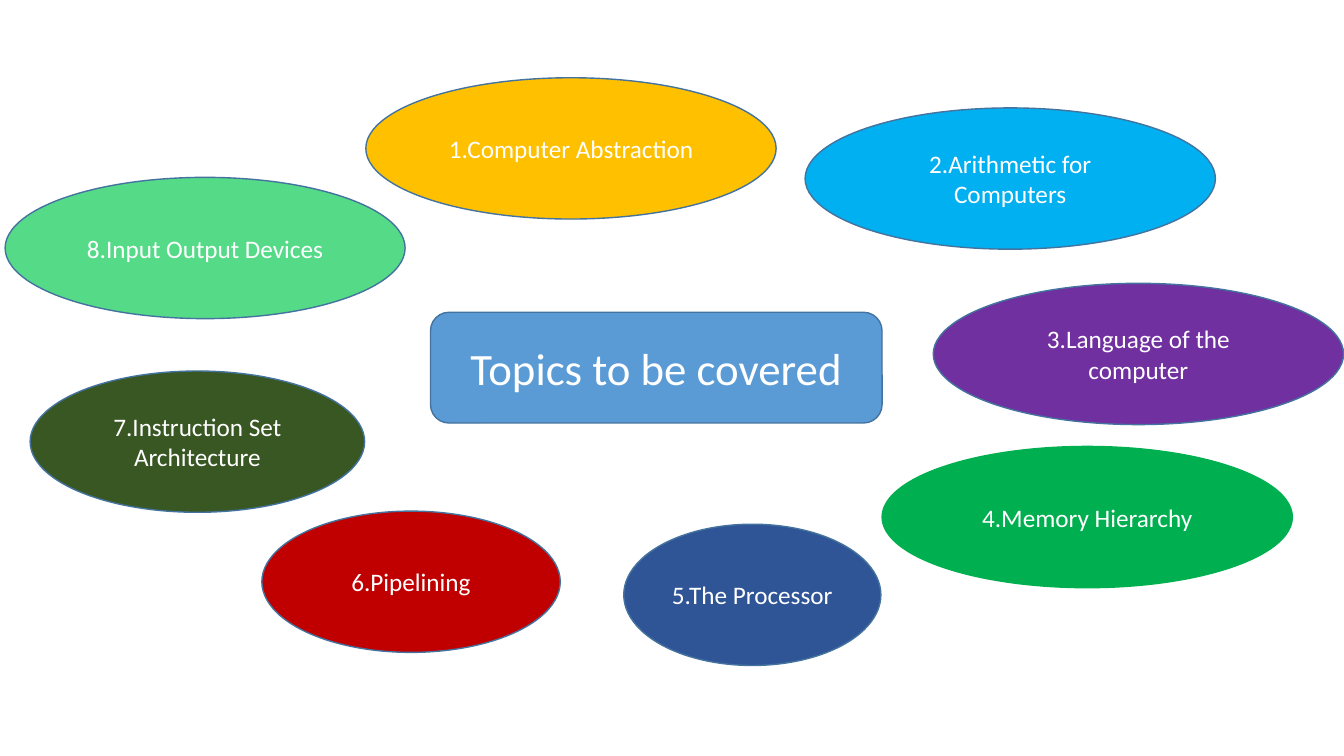
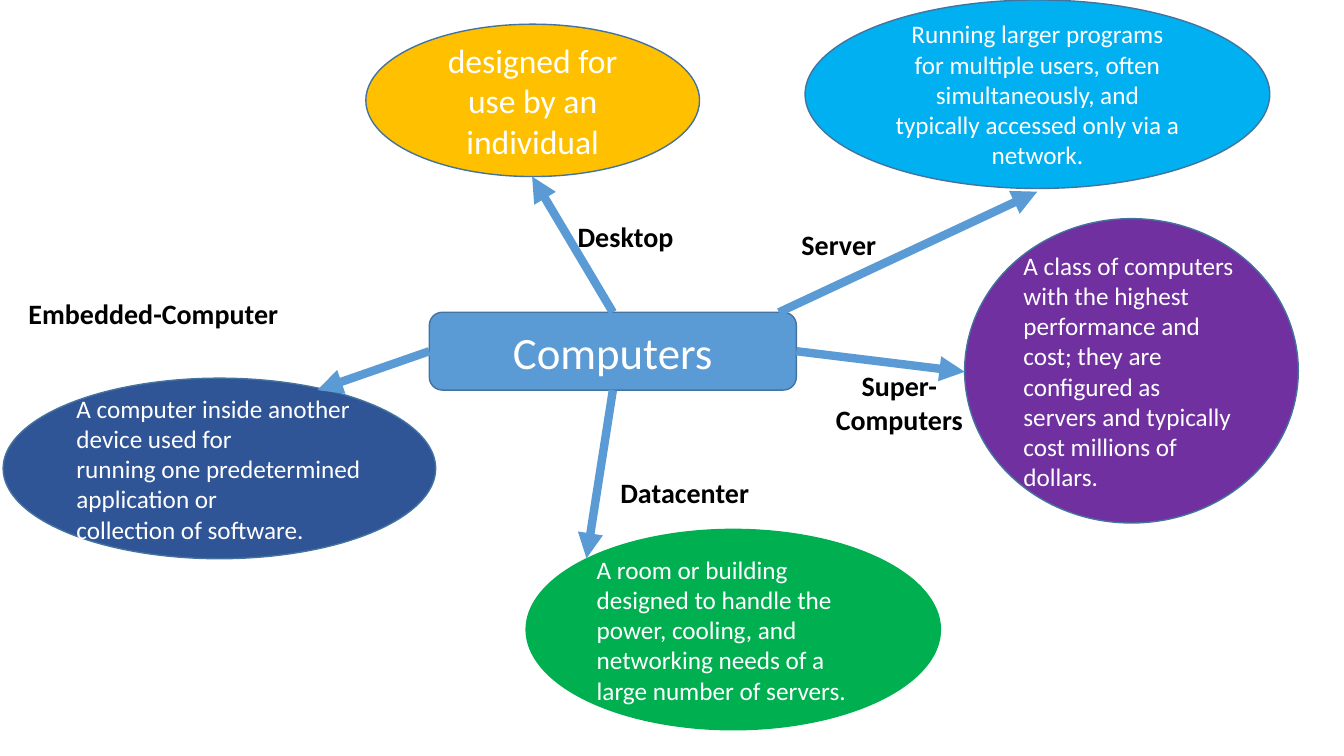
from lxml.etree import SubElement
from pptx import Presentation
from pptx.dml.color import RGBColor
from pptx.enum.shapes import MSO_CONNECTOR, MSO_SHAPE
from pptx.enum.text import MSO_ANCHOR, MSO_AUTO_SIZE, PP_ALIGN
from pptx.oxml.ns import qn
from pptx.util import Cm, Pt

FONT = "Calibri"
COLORS = {
    "hub": "5B9BD5", "outline": "43739E", "white": "FFFFFF", "black": "000000",
    "amber": "FFC000", "sky": "00B0F0", "purple": "7030A0", "green": "00B050",
    "navy": "2F5597", "red": "C00000", "olive": "385723", "mint": "55DB88",
}
TOPIC_HEIGHT = 3.56
HUB_TOP, HUB_BOTTOM, HUB_LEFT, HUB_RIGHT = 0, 2, 1, 3

# Topic, colour, left, top, width (cm)
TOPICS = [
    ("1.Computer Abstraction", "amber", 9.22, 1.96, 10.34),
    ("2.Arithmetic for Computers", "sky", 20.29, 2.72, 10.34),
    ("3.Language of the computer", "purple", 23.52, 7.14, 10.34),
    ("4.Memory Hierarchy", "green", 22.23, 11.25, 10.34),
    ("5.The Processor", "navy", 15.72, 13.21, 6.48),
    ("6.Pipelining", "red", 6.6, 12.88, 7.52),
    ("7.Instruction Set Architecture", "olive", 0.76, 9.35, 8.43),
    ("8.Input Output Devices", "mint", 0.13, 4.47, 10.08),
]

# Description lines, colour, box (cm), text size, alignment
DESCRIPTIONS = [
    (["designed for use by an individual"],
     "amber", (9.22, 0.61, 8.41, 3.84), 24, PP_ALIGN.CENTER),
    (["Running larger programs",
      "for multiple users, often simultaneously, and",
      "typically accessed only via a network."],
     "sky", (20.29, 0, 11.71, 4.75), 18, PP_ALIGN.CENTER),
    (["A class of computers with the highest",
      "performance and cost; they are configured as",
      "servers and typically cost millions of dollars."],
     "purple", (24.31, 5.51, 8.41, 7.67), 18, PP_ALIGN.LEFT),
    (["A room or building designed to handle the",
      "power, cooling, and networking needs of a",
      "large number of servers."],
     "green", (13.26, 13.34, 10.44, 5.05), 18, PP_ALIGN.LEFT),
    (["A computer inside another device used for",
      "running one predetermined application or",
      "collection of software."],
     "navy", (0.08, 9.53, 10.9, 4.55), 18, PP_ALIGN.LEFT),
]

# Arrow tip (cm) and the side of the hub it leaves from
HUB_ARROWS = [
    (HUB_TOP, (13.41, 4.45)),
    (HUB_LEFT, (8, 9.83)),
    (HUB_BOTTOM, (14.78, 14.07)),
    (HUB_RIGHT, (24.31, 9.37)),
]
SERVER_ARROW = (19.63, 7.87), (26.14, 4.83)

# Label, box (cm)
LABELS = [
    ("Desktop", (13.67, 5.41, 4.19, 1.12)),
    ("Server", (19.25, 5.61, 3.78, 1.12)),
    ("Super-Computers", (20.29, 9.17, 4.75, 1.96)),
    ("Datacenter", (14.88, 11.86, 4.75, 1.12)),
    ("Embedded-Computer", (0.08, 7.34, 7.57, 1.12)),
]


def color(name):
    return RGBColor.from_string(COLORS[name])


def write_text(text_frame, lines, size, color_name, align=PP_ALIGN.CENTER, bold=False):
    text_frame.word_wrap = True
    for index, line in enumerate(lines):
        paragraph = text_frame.add_paragraph() if index else text_frame.paragraphs[0]
        paragraph.text = line
        paragraph.alignment = align
        font = paragraph.font
        font.name, font.size, font.bold = FONT, Pt(size), bold
        font.color.rgb = color(color_name)


def add_node(slide, kind, box, fill, lines, size, align=PP_ALIGN.CENTER):
    shape = slide.shapes.add_shape(kind, *map(Cm, box))
    shape.shadow.inherit = False
    shape.fill.solid()
    shape.fill.fore_color.rgb = color(fill)
    shape.line.color.rgb = color("green" if fill == "green" else "outline")
    shape.line.width = Pt(1)
    shape.text_frame.vertical_anchor = MSO_ANCHOR.MIDDLE
    write_text(shape.text_frame, lines, size, "white", align)
    return shape


def add_hub(slide, box, text):
    return add_node(slide, MSO_SHAPE.ROUNDED_RECTANGLE, box, "hub", [text], 32)


def add_ellipse(slide, box, fill, lines, size=18, align=PP_ALIGN.CENTER):
    return add_node(slide, MSO_SHAPE.OVAL, box, fill, lines, size, align)


def add_arrow(slide, start, end):
    arrow = slide.shapes.add_connector(MSO_CONNECTOR.STRAIGHT, *map(Cm, (*start, *end)))
    arrow.line.color.rgb = color("hub")
    arrow.line.width = Pt(6)
    SubElement(arrow.line._get_or_add_ln(), qn("a:tailEnd"), type="triangle")
    SubElement(arrow._element.spPr, qn("a:effectLst"))
    return arrow


def add_label(slide, text, box):
    label = slide.shapes.add_textbox(*map(Cm, box))
    write_text(label.text_frame, [text], 20, "black", bold=True)
    label.text_frame.auto_size = MSO_AUTO_SIZE.SHAPE_TO_FIT_TEXT


def build_topics(slide):
    add_hub(slide, (10.85, 7.87, 11.38, 2.79), "Topics to be covered")
    for text, fill, left, top, width in TOPICS:
        add_ellipse(slide, (left, top, width, TOPIC_HEIGHT), fill, [text])


def build_computers(slide):
    hub = add_hub(slide, (10.82, 7.87, 9.25, 1.96), "Computers")
    for lines, fill, box, size, align in DESCRIPTIONS:
        add_ellipse(slide, box, fill, lines, size, align)
    # Arrows from the hub to each class of computer
    for side, tip in HUB_ARROWS:
        add_arrow(slide, tip, tip).begin_connect(hub, side)
    add_arrow(slide, *SERVER_ARROW)
    for text, box in LABELS:
        add_label(slide, text, box)


def main():
    presentation = Presentation()
    presentation.slide_width, presentation.slide_height = Cm(33.87), Cm(19.05)
    blank = presentation.slide_layouts[6]
    for build in (build_topics, build_computers):
        build(presentation.slides.add_slide(blank))
    presentation.save("out.pptx")


if __name__ == "__main__":
    main()
